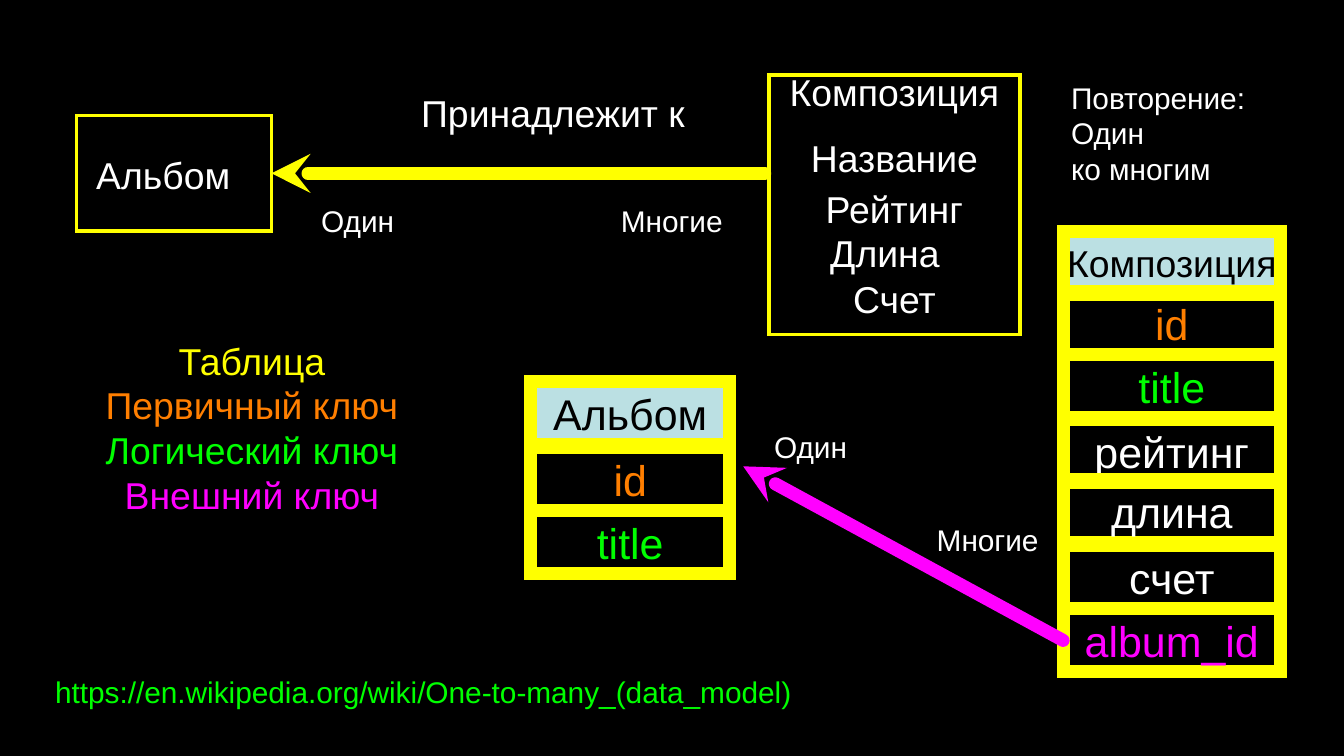
from pptx import Presentation
from pptx.dml.color import RGBColor
from pptx.enum.shapes import MSO_CONNECTOR, MSO_SHAPE
from pptx.enum.text import MSO_ANCHOR, PP_ALIGN
from pptx.oxml.ns import qn
from pptx.util import Inches, Pt
from lxml import etree

BLACK = RGBColor(0x00, 0x00, 0x00)
WHITE = RGBColor(0xFF, 0xFF, 0xFF)
YELLOW = RGBColor(0xFF, 0xFF, 0x00)
ORANGE = RGBColor(0xFF, 0x7F, 0x00)
GREEN = RGBColor(0x00, 0xFF, 0x00)
MAGENTA = RGBColor(0xFF, 0x00, 0xFF)
PALE_BLUE = RGBColor(0xBB, 0xE0, 0xE3)


def write(shape, lines, *, size=20, color=WHITE, align=PP_ALIGN.CENTER,
          anchor=MSO_ANCHOR.MIDDLE, inset=(0, 0), wrap=False):
    """Fill a shape with lines, each a string or a (string, colour) pair."""
    frame = shape.text_frame
    frame.word_wrap = wrap
    frame.vertical_anchor = anchor
    frame.margin_left = frame.margin_right = Inches(inset[0])
    frame.margin_top = frame.margin_bottom = Inches(inset[1])
    for index, line in enumerate(lines):
        text, line_color = line if isinstance(line, tuple) else (line, color)
        para = frame.paragraphs[0] if index == 0 else frame.add_paragraph()
        para.alignment = align
        span = para.add_run()
        span.text = text
        span.font.name = "Arial"
        span.font.size = Pt(size)
        span.font.color.rgb = line_color


def add_text(page, left, top, width, height, *lines, **text_format):
    box = page.shapes.add_textbox(
        Inches(left), Inches(top), Inches(width), Inches(height))
    write(box, lines, wrap=True, **text_format)


def add_note(page, left, top, width, height, *lines, **text_format):
    """Add small text that starts at the top left of its box."""
    add_text(page, left, top, width, height, *lines, size=16,
             align=PP_ALIGN.LEFT, anchor=MSO_ANCHOR.TOP, inset=(0.06, 0.03),
             **text_format)


def add_frame(page, left, top, width, height, line_width=2, fill=None):
    """Add a yellow-edged rectangle with sharp corners."""
    frame = page.shapes.add_shape(
        MSO_SHAPE.RECTANGLE,
        Inches(left), Inches(top), Inches(width), Inches(height))
    frame.shadow.inherit = False
    if fill is None:
        frame.fill.background()
    else:
        frame.fill.solid()
        frame.fill.fore_color.rgb = fill
    frame.line.color.rgb = YELLOW
    frame.line.width = Pt(line_width)
    etree.SubElement(frame.line._get_or_add_ln(), qn("a:miter"), lim="800000")
    return frame


def add_database_table(page, left, width, title, title_size, title_top, fields):
    """Stack a title cell and (top, name, colour) fields; return the last cell."""
    cell_height = 0.47
    cell = add_frame(page, left, title_top, width, cell_height, 7, PALE_BLUE)
    write(cell, [title], size=title_size, color=BLACK)
    for top, name, color in fields:
        cell = add_frame(page, left, top, width, cell_height, 7)
        write(cell, [name], size=23, color=color)
    return cell


def add_arrow(page, tip, tail, color):
    arrow = page.shapes.add_connector(
        MSO_CONNECTOR.STRAIGHT, *(Inches(value) for value in tip + tail))
    arrow.line.color.rgb = color
    arrow.line.width = Pt(7)
    line = arrow.line._get_or_add_ln()
    line.set("cap", "rnd")
    etree.SubElement(line, qn("a:round"))
    etree.SubElement(line, qn("a:headEnd"), type="stealth")
    etree.SubElement(arrow._element.spPr, qn("a:effectLst"))
    return arrow


def add_logical_model(page):
    add_frame(page, 5.72, 0.56, 1.87, 1.93)
    album = add_frame(page, 0.57, 0.86, 1.45, 0.86)
    arrow = add_arrow(page, (2.02, 1.29), (5.69, 1.29), YELLOW)
    arrow.begin_connect(album, 3)

    add_text(page, 0.62, 1.11, 1.19, 0.38, "Альбом")
    add_text(page, 2.99, 0.65, 2.25, 0.38, "Принадлежит к")
    song_labels = [
        (5.84, 0.49, "Композиция"),
        (5.84, 0.98, "Название"),
        (5.84, 1.36, "Рейтинг"),
        (5.77, 1.69, "Длина"),
        (5.84, 2.03, "Счет"),
    ]
    for left, top, label in song_labels:
        add_text(page, left, top, 1.63, 0.38, label)
    add_note(page, 2.33, 1.48, 0.74, 0.32, "Один")
    add_note(page, 4.56, 1.48, 1.05, 0.32, "Многие")


def add_database_model(page):
    add_database_table(page, 3.95, 1.48, "Альбом", 23, 2.84, [
        (3.33, "id", ORANGE),
        (3.8, "title", GREEN),
    ])
    foreign_key = add_database_table(page, 7.91, 1.62, "Композиция", 20, 1.72, [
        (2.17, "id", ORANGE),
        (2.64, "title", GREEN),
        (3.12, "рейтинг", WHITE),
        (3.57, "длина", WHITE),
        (4.06, "счет", WHITE),
        (4.53, "album_id", MAGENTA),
    ])
    arrow = add_arrow(page, (5.53, 3.47), (7.91, 4.76), MAGENTA)
    arrow.end_connect(foreign_key, 1)
    add_note(page, 5.7, 3.16, 0.8, 0.32, "Один")
    add_note(page, 6.91, 3.85, 0.88, 0.32, "Многие")


def main():
    deck = Presentation()
    deck.slide_width = Inches(10)
    deck.slide_height = deck.slide_width * 9 // 16
    page = deck.slides.add_slide(deck.slide_layouts[6])
    page.background.fill.solid()
    page.background.fill.fore_color.rgb = BLACK

    add_logical_model(page)
    add_database_model(page)
    add_text(page, 0.69, 2.51, 2.37, 1.34,
             ("Таблица", YELLOW), ("Первичный ключ", ORANGE),
             ("Логический ключ", GREEN), ("Внешний ключ", MAGENTA))
    add_note(page, 7.91, 0.56, 1.48, 0.92, "Повторение:", "Один", "ко многим")
    add_note(page, 0.35, 4.98, 5.92, 0.32,
             "https://en.wikipedia.org/wiki/One-to-many_(data_model)",
             color=GREEN)
    deck.save("out.pptx")


if __name__ == "__main__":
    main()
